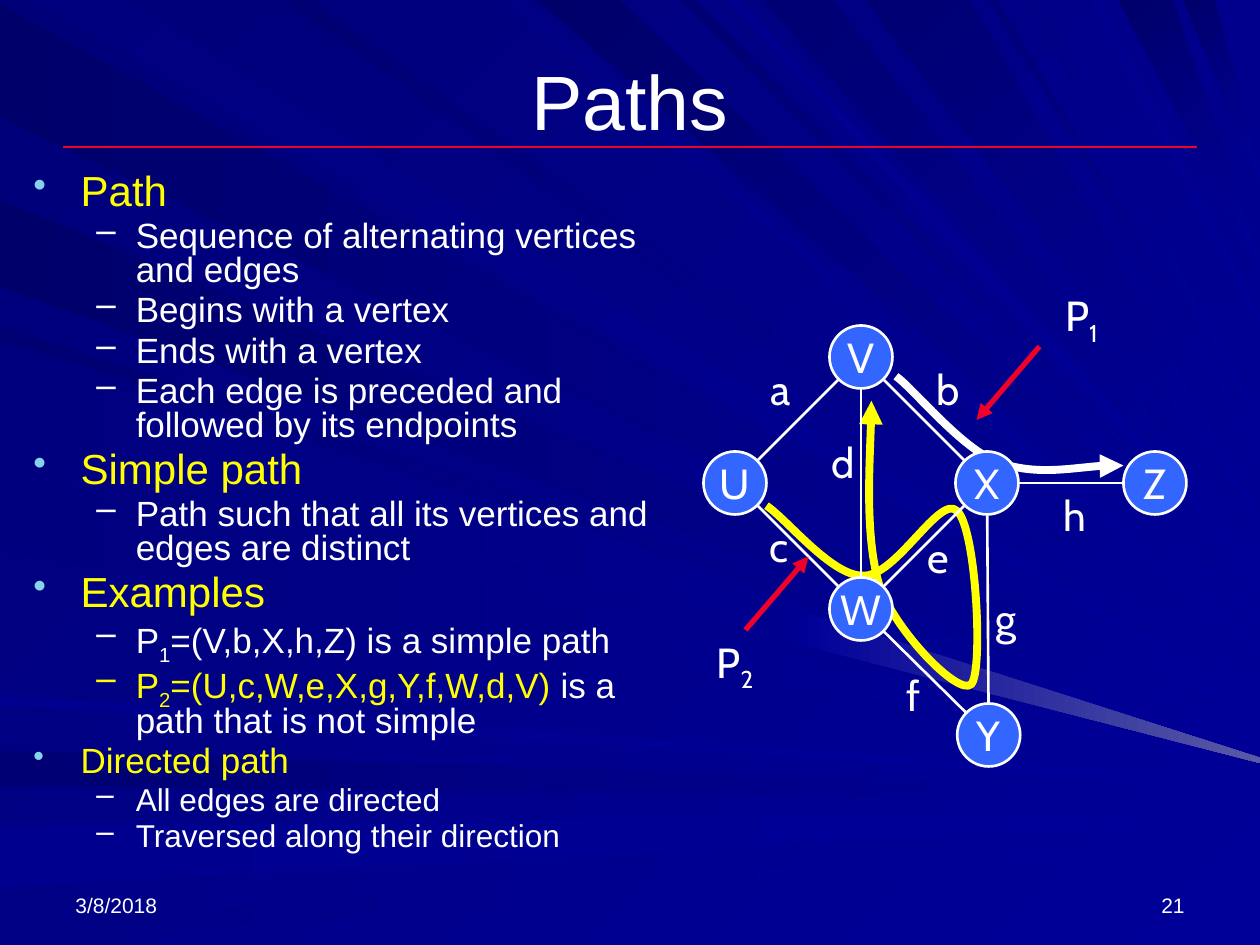
import math

import lxml.etree
import pptx
import pptx.dml.color
import pptx.enum.shapes
import pptx.enum.text
import pptx.oxml.ns
import pptx.util

Pt = pptx.util.Pt
qn = pptx.oxml.ns.qn
ALIGN = pptx.enum.text.PP_ALIGN
ANCHOR = pptx.enum.text.MSO_ANCHOR

C = {"white": "FFFFFF", "yellow": "FFFF00", "red": "EF0129", "node": "3366FF", "bullet": "86D1EC",
     "base": "000078", "deep": "00006B", "dark": "000073", "mid": "00007E", "soft": "000085",
     "pale": "00008E", "bright": "000099", "mist": "5A5AA6"}

LEFT_RAYS = [("deep", 2, 67, 410), ("dark", 429, 449, 454), ("pale", 472, 507, 466),
             ("soft", 529, 540, 477), ("dark", 186, 194, 424), ("deep", 114, 164, 419),
             ("mid", 200, 246, 431), ("mid", 269, 315, 436), ("pale", 397, 403, 448)]
TOP_RAYS = [("mid", 19, 73, 405), ("dark", 162, 178, 397), ("soft", 287, 300, 373),
            ("deep", 307, 354, 355), ("dark", 389, 397, 333), ("pale", 415, 423, 327),
            ("dark", 436, 476, 321), ("dark", 494, 554, 295), ("base", 565, 570, 257),
            ("soft", 587, 593, 242), ("pale", 623, 628, 183), ("deep", 639, 670, 151),
            ("deep", 676, 694, 101)]

BODY = [
    (0, [("Path", "yellow")]),
    (1, [("Sequence of alternating vertices and edges", "white")]),
    (1, [("Begins with a vertex", "white")]),
    (1, [("Ends with a vertex", "white")]),
    (1, [("Each edge is preceded and followed by its endpoints", "white")]),
    (0, [("Simple path", "yellow")]),
    (1, [("Path such that all its vertices and edges are distinct", "white")]),
    (0, [("Examples", "yellow")]),
    (1, [("P_1_=(V,b,X,h,Z) is a simple path", "white")]),
    (1, [("P_2_=(U,c,W,e,X,g,Y,f,W,d,V)", "yellow"), (" is a path that is not simple", "white")]),
    (0, [("Directed path", "yellow")]),
    (1, [("All edges are directed", "white")]),
    (1, [("Traversed along their direction", "white")]),
]
SIZES = (24, 20)
SMALL_SIZES = (20, 18)
SMALL_FROM = 10

NODE_SIZE = 36
NODES = {"X": (162, 114), "U": (18, 114), "V": (90, 42), "W": (90, 186), "Z": (258, 114), "Y": (163, 258)}
EDGES = ["VU", "WU", "WX", "XZ", "VX", "VW", "WY", "XY"]
LABELS = {"a": (44, 42), "c": (43, 132), "b": (140, 42), "e": (134, 138), "d": (80, 84), "f": (120, 217),
          "g": (173, 173), "h": (212, 114), "P_1": (216, 0), "P_2": (18, 198)}
CURVES = [
    ("yellow", "headEnd", [(96, 67), (96, 84), (92, 146), (101, 174), (111, 200), (146, 236), (153, 229),
                           (160, 222), (156, 140), (145, 130), (135, 120), (110, 168), (91, 167),
                           (73, 167), (48, 135), (36, 127)]),
    ("white", "tailEnd", [(110, 53), (120, 60), (147, 94), (168, 102), (190, 110), (224, 103), (240, 104)]),
]
POINTERS = [((192, 36), (156, 78)), ((24, 198), (60, 156))]


def rgb(name):
    return pptx.dml.color.RGBColor.from_string(C[name])


def gradient(fill, start, end, angle):
    fill.gradient()
    fill.gradient_angle = 360 - angle
    for stop, name in zip(fill.gradient_stops, (start, end)):
        stop.color.rgb = rgb(name)


def stroke(sp, colour, width, arrow=None):
    sp.line.color.rgb = rgb(colour)
    sp.line.width = Pt(width)
    if arrow:
        ln = sp.element.spPr.find(qn("a:ln"))
        lxml.etree.SubElement(ln, qn(f"a:{arrow}"), type="triangle")


def add_line(s, start, end, colour, width, arrow=None):
    sp = s.shapes.add_connector(pptx.enum.shapes.MSO_CONNECTOR.STRAIGHT, *map(Pt, start + end))
    stroke(sp, colour, width, arrow)
    lxml.etree.SubElement(sp.element.spPr, qn("a:effectLst"))


def add_runs(p, text, size, colour="white", font="Arial"):
    for i, part in enumerate(text.split("_")):
        if part:
            r = p.add_run()
            r.text = part
            for key, value in {"size": Pt(size), "name": font}.items():
                setattr(r.font, key, value)
            r.font.color.rgb = rgb(colour)
            if i % 2:
                r.font._element.set("baseline", "-25000")


def set_text(sp, text, size, align, anchor, wrap=True, font="Arial"):
    tf = sp.text_frame
    for key, value in {"word_wrap": wrap, "vertical_anchor": anchor}.items():
        setattr(tf, key, value)
    tf.paragraphs[0].alignment = align
    add_runs(tf.paragraphs[0], text, size, font=font)


def add_text(s, box, *args, **kwargs):
    set_text(s.shapes.add_textbox(*map(Pt, box)), *args, **kwargs)


def add_outline(shapes, x, y, points, close):
    fb = shapes.build_freeform(*points[0], scale=Pt(1))
    fb.add_line_segments(points[1:], close=close)
    sp = fb.convert_to_shape(Pt(x), Pt(y))
    sp.shadow.inherit = False
    return sp


def add_background(s, x, y, w):
    gradient(s.background.fill, "base", "bright", 45)
    rays = s.shapes.add_group_shape().shapes
    outlines = [(shade, 0, [(0, a), (0, b), (w, end + 2), (w, end - 2)]) for shade, a, b, end in LEFT_RAYS]
    outlines += [(shade, 45, [(a, 0), (b, 0), (w, end - 2), (w, end + 2)]) for shade, a, b, end in TOP_RAYS]
    for shade, angle, points in outlines:
        sp = add_outline(rays, x, y, points, True)
        sp.line.fill.background()
        gradient(sp.fill, shade, "bright", angle)
    sp = add_outline(rays, x, y, [(456, 368), (458, 349), (w, 433), (w, 436)], True)
    sp.line.fill.background()
    gradient(sp.fill, "bright", "mist", 0)


def add_title(s, x, y, w, h):
    add_line(s, (x, y + 72), (x + w, y + 72), "red", 0.75)
    add_text(s, (x, y, w, h), "Paths", 44, ALIGN.CENTER, ANCHOR.MIDDLE)


def add_bullet(p, level):
    pPr = p._p.get_or_add_pPr()
    margin, indent = ((27, -27), (58.5, -22.5))[level]
    pPr.set("marL", str(Pt(margin)))
    pPr.set("indent", str(Pt(indent)))
    if level == 0:
        clr = lxml.etree.SubElement(pPr, qn("a:buClr"))
        lxml.etree.SubElement(clr, qn("a:srgbClr"), val=C["bullet"])
        lxml.etree.SubElement(pPr, qn("a:buSzPct"), val="90000")
    lxml.etree.SubElement(pPr, qn("a:buChar"), char="•–"[level])


def add_body(s, *box):
    tf = s.shapes.add_textbox(*map(Pt, box)).text_frame
    tf.word_wrap = True
    for i, (level, runs) in enumerate(BODY):
        size = (SMALL_SIZES if i >= SMALL_FROM else SIZES)[level]
        p = tf.add_paragraph() if i else tf.paragraphs[0]
        add_bullet(p, level)
        for key, value in {"level": level, "line_spacing": 0.8, "space_before": Pt(0.2 * size if i else 0)}.items():
            setattr(p, key, value)
        for text, colour in runs:
            add_runs(p, text, size, colour)


def add_curve(s, x, y, colour, arrow, points):
    sp = add_outline(s.shapes, x, y, points, False)
    path = sp.element.find(".//" + qn("a:path"))
    segments = path.findall(qn("a:lnTo"))
    for i in range(0, len(segments), 3):
        bezier = lxml.etree.SubElement(path, qn("a:cubicBezTo"))
        for segment in segments[i:i + 3]:
            bezier.append(segment[0])
            path.remove(segment)
    sp.fill.background()
    stroke(sp, colour, 4.5, arrow)


def add_graph(s, x, y):
    for curve in CURVES:
        add_curve(s, x, y, *curve)
    for name, (cx, cy) in NODES.items():
        sp = s.shapes.add_shape(pptx.enum.shapes.MSO_SHAPE.OVAL, Pt(x + cx - NODE_SIZE / 2),
                                Pt(y + cy - NODE_SIZE / 2), Pt(NODE_SIZE), Pt(NODE_SIZE))
        sp.shadow.inherit = False
        sp.fill.solid()
        sp.fill.fore_color.rgb = rgb("node")
        stroke(sp, "white", 1.5)
        set_text(sp, name, 24, ALIGN.CENTER, ANCHOR.MIDDLE, wrap=False, font="Cabin")
    for a, b in EDGES:
        (ax, ay), (bx, by) = NODES[a], NODES[b]
        trim = (NODE_SIZE / 2 + 0.5) / math.dist(NODES[a], NODES[b])
        dx, dy = (bx - ax) * trim, (by - ay) * trim
        add_line(s, (x + ax + dx, y + ay + dy), (x + bx - dx, y + by - dy), "white", 1.5)
    for text, (cx, top) in LABELS.items():
        w = 37 if "_" in text else 28
        add_text(s, (x + cx - w / 2, y + top, w, 36), text, 24, ALIGN.CENTER, ANCHOR.TOP, wrap=False, font="Cabin")
    for (ax, ay), (bx, by) in POINTERS:
        add_line(s, (x + ax, y + ay), (x + bx, y + by), "red", 3, "tailEnd")


def add_footer(s, x, y, w, h):
    add_text(s, (x, y, 168, h), "3/8/2018", 12, ALIGN.LEFT, ANCHOR.BOTTOM)
    add_text(s, (x + w - 168, y, 168, h), "21", 12, ALIGN.RIGHT, ANCHOR.BOTTOM)


def main():
    prs = pptx.Presentation()
    prs.slide_width, prs.slide_height = Pt(720), Pt(540)
    s = prs.slides.add_slide(prs.slide_layouts[6])
    add_background(s, 0, 0, 720)
    add_title(s, 36, 12, 648, 90)
    add_body(s, 12, 96, 384, 402)
    add_graph(s, 402, 162)
    add_footer(s, 36, 492, 648, 36)
    prs.save("out.pptx")


if __name__ == "__main__":
    main()
